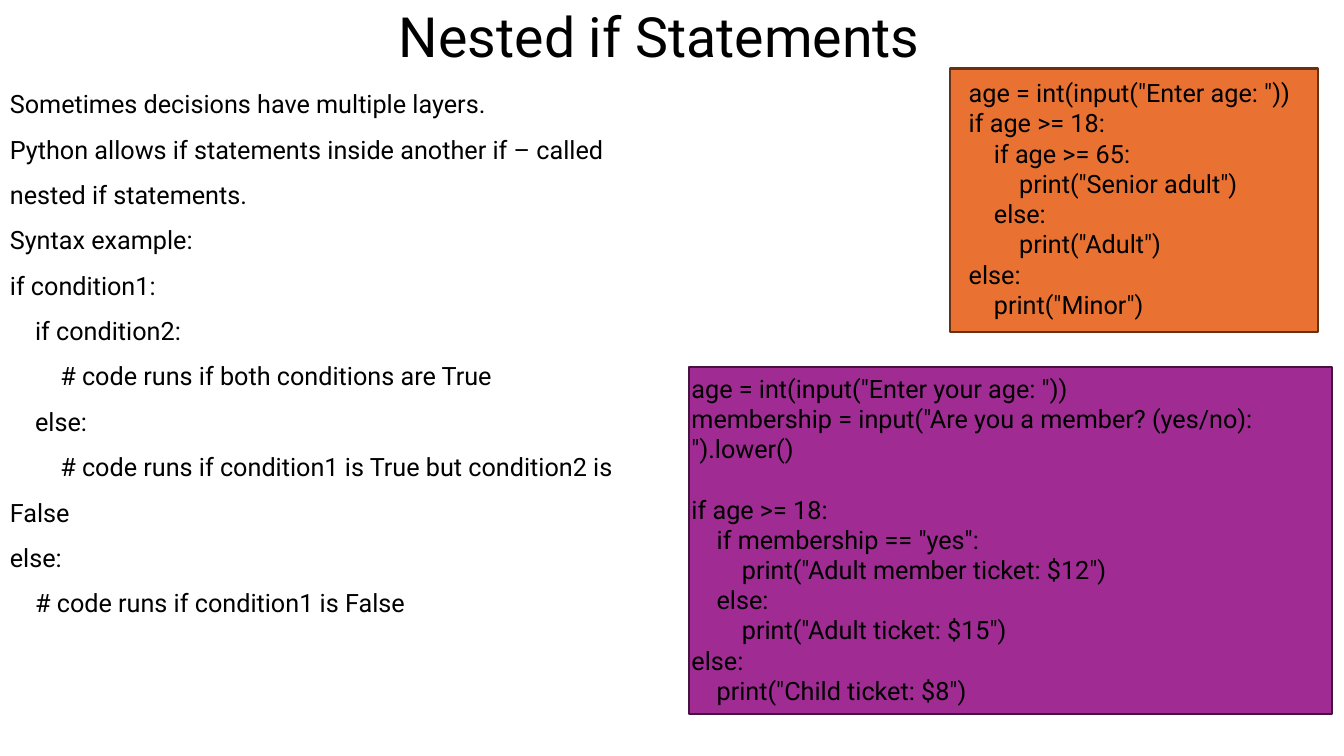
from dataclasses import dataclass

from pptx import Presentation
from pptx.dml.color import RGBColor
from pptx.enum.shapes import MSO_SHAPE
from pptx.enum.text import MSO_ANCHOR, PP_ALIGN
from pptx.util import Emu, Pt

RECTANGLE = MSO_SHAPE.RECTANGLE
TOP, MIDDLE = MSO_ANCHOR.TOP, MSO_ANCHOR.MIDDLE
LEFT, CENTER = PP_ALIGN.LEFT, PP_ALIGN.CENTER
EMU_PER_PX = 9144  # 100 px to the inch


@dataclass(frozen=True)
class Theme:
    font: str = "Roboto"
    title_size: float = 39.6
    body_size: float = 18
    blank_line: float = 21.6
    border_width: float = 1.5
    level_indent: int = 25
    text: str = "000000"
    orange: str = "E97132"
    orange_border: str = "663216"
    purple: str = "A02B93"
    purple_border: str = "461340"


def px(length):
    return Emu(length * EMU_PER_PX)


class SlideBuilder:
    def __init__(self, page, theme):
        self.page = page
        self.theme = theme

    def panel(self, left, top, width, height, fill, border):
        panel = self.page.shapes.add_shape(
            RECTANGLE, px(left), px(top), px(width), px(height))
        panel.shadow.inherit = False
        panel.fill.solid()
        panel.fill.fore_color.rgb = RGBColor.from_string(fill)
        panel.line.color.rgb = RGBColor.from_string(border)
        panel.line.width = Pt(self.theme.border_width)

    def text(self, left, top, width, height, lines, size=None,
             align=LEFT, anchor=TOP, spacing=1.0):
        """Each line is (indent level, wording); None leaves a line's gap."""
        box = self.page.shapes.add_textbox(
            px(left), px(top), px(width), px(height))
        frame = box.text_frame
        frame.word_wrap = True
        frame.vertical_anchor = anchor
        para, gap = None, False
        for line in lines:
            if line is None:
                gap = True
                continue
            level, wording = line
            para = frame.add_paragraph() if para else frame.paragraphs[0]
            para.text = wording
            para.alignment = align
            para.line_spacing = spacing
            if gap:
                para.space_before = Pt(self.theme.blank_line)
                gap = False
            if level:  # first line only, wrapped lines return to the margin
                properties = para._p.get_or_add_pPr()
                properties.set("marL", "0")
                properties.set("indent", str(px(level * self.theme.level_indent)))
            para.font.name = self.theme.font
            para.font.size = Pt(size or self.theme.body_size)
            para.font.color.rgb = RGBColor.from_string(self.theme.text)


EXPLANATION = [
    (0, "Sometimes decisions have multiple layers."),
    (0, "Python allows if statements inside another if – called nested if statements."),
    (0, "Syntax example:"),
    (0, "if condition1:"),
    (1, "if condition2:"),
    (2, "# code runs if both conditions are True"),
    (1, "else:"),
    (2, "# code runs if condition1 is True but condition2 is False"),
    (0, "else:"),
    (1, "# code runs if condition1 is False"),
]
AGE_CODE = [
    (0, 'age = int(input("Enter age: "))'),
    (0, "if age >= 18:"),
    (1, "if age >= 65:"),
    (2, 'print("Senior adult")'),
    (1, "else:"),
    (2, 'print("Adult")'),
    (0, "else:"),
    (1, 'print("Minor")'),
]
TICKET_CODE = [
    (0, 'age = int(input("Enter your age: "))'),
    (0, 'membership = input("Are you a member? (yes/no): ").lower()'),
    None,
    (0, "if age >= 18:"),
    (1, 'if membership == "yes":'),
    (2, 'print("Adult member ticket: $12")'),
    (1, "else:"),
    (2, 'print("Adult ticket: $15")'),
    (0, "else:"),
    (1, 'print("Child ticket: $8")'),
]


def main():
    deck = Presentation()
    deck.slide_width, deck.slide_height = px(1333), px(750)
    theme = Theme()
    slide = SlideBuilder(deck.slides.add_slide(deck.slide_layouts[6]), theme)

    # Code panels
    slide.panel(683, 364, 638, 344, theme.purple, theme.purple_border)
    slide.panel(942, 68, 365, 261, theme.orange, theme.orange_border)

    # Title
    slide.text(79, 12, 1150, 55, [(0, "Nested if Statements")],
               size=theme.title_size, align=CENTER, anchor=MIDDLE, spacing=0.9)

    # Code samples and explanation
    slide.text(951, 72, 356, 252, AGE_CODE)
    slide.text(0, 68, 667, 540, EXPLANATION, spacing=1.5)
    slide.text(676, 365, 643, 343, TICKET_CODE)

    deck.save("out.pptx")


if __name__ == "__main__":
    main()
